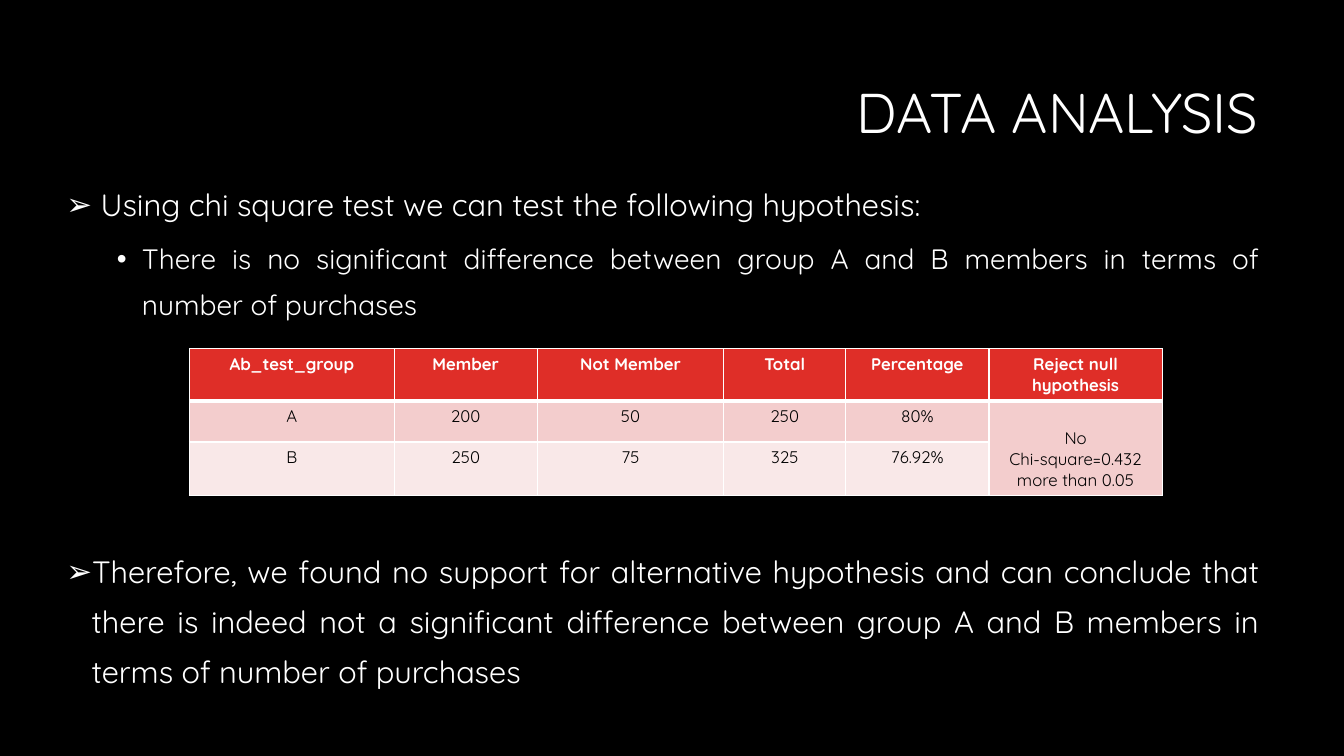
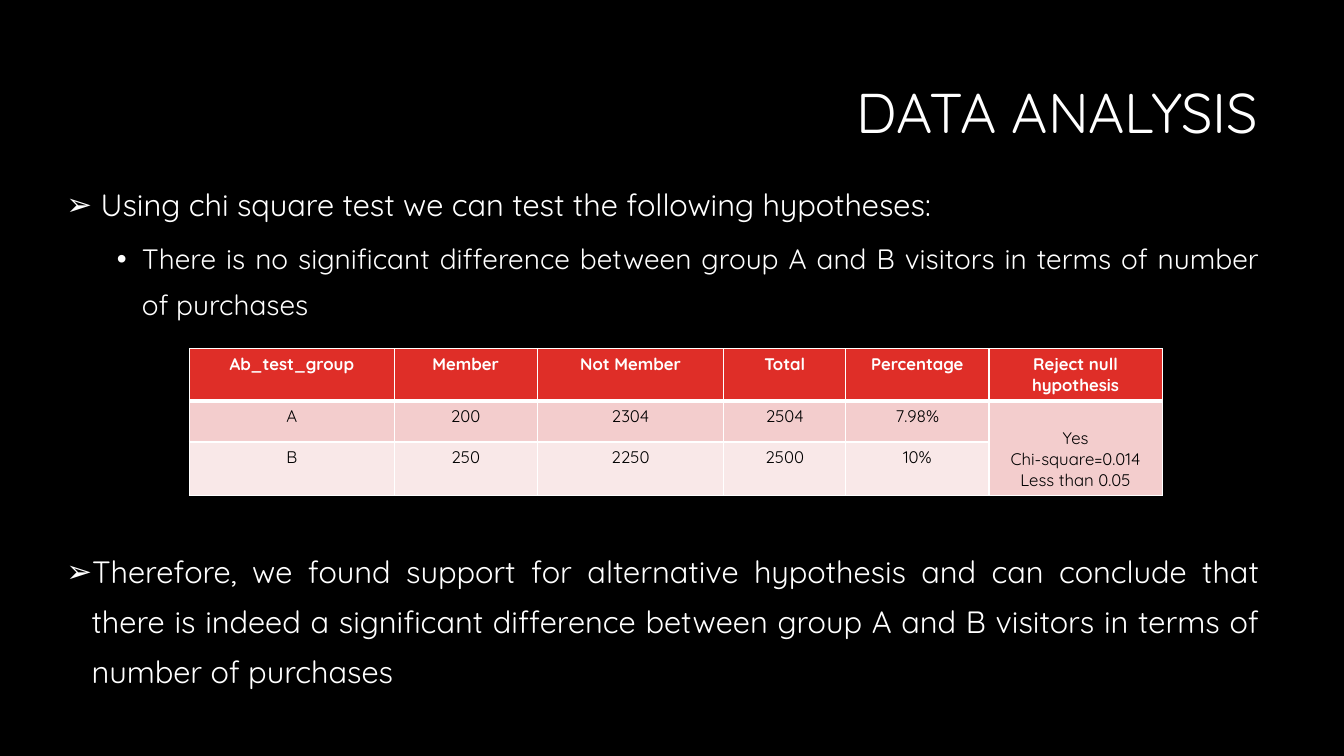
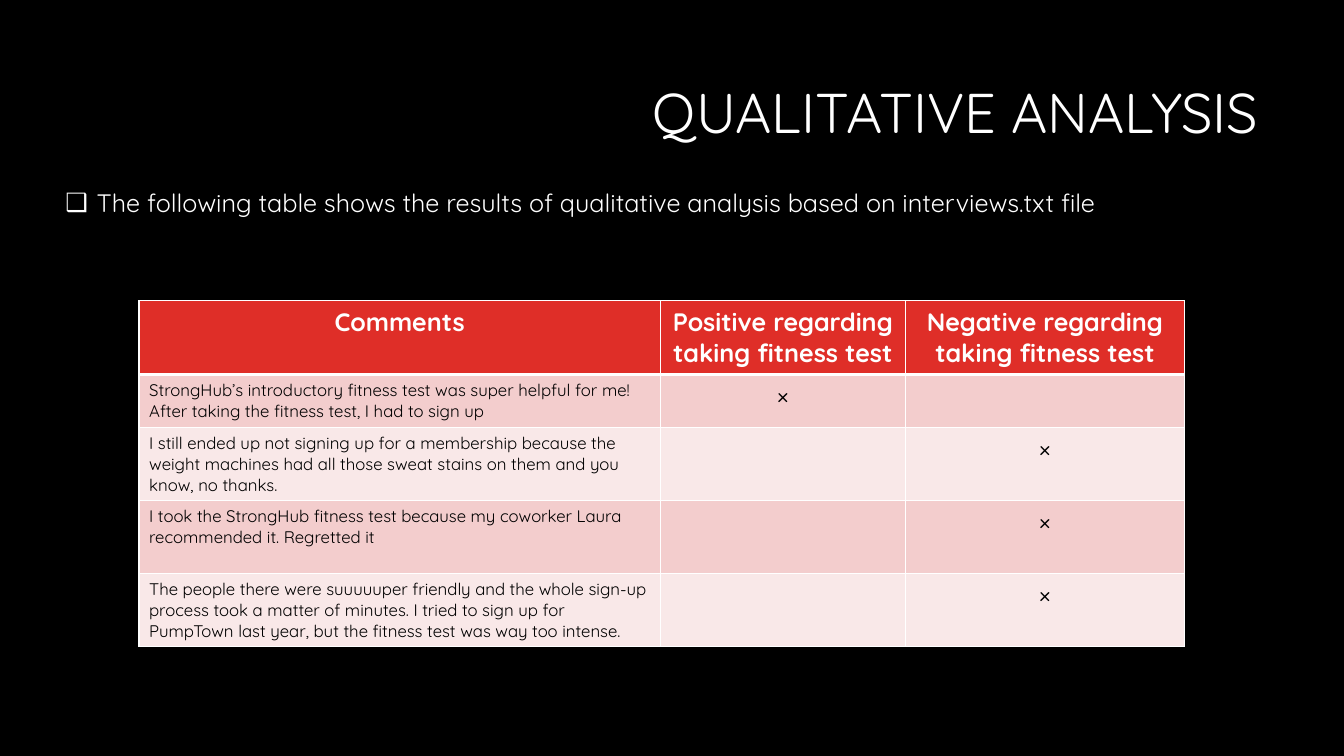
"""Build three slides that report the analysis of a fitness test."""
from dataclasses import dataclass

from lxml import etree
from pptx import Presentation
from pptx import util as u
from pptx.dml.color import RGBColor
from pptx.enum import text
from pptx.oxml import ns

ALIGN = text.PP_ALIGN
ANCHOR = text.MSO_ANCHOR


@dataclass(frozen=True)
class Theme:
    """Colours, font and type sizes of the presentation."""
    font: str = "Quicksand"
    background: str = "000000"
    light: str = "FFFFFF"
    dark: str = "000000"
    header: str = "DF2E28"
    bands: tuple = ("F3CDCD", "F9E8E8")
    title: int = 40
    lead: int = 22
    point: int = 20
    note: int = 18
    cell: int = 12
    line: int = 1
    header_line: int = 3


THEME = Theme()


def write(frame, content, size, color=THEME.light, bold=False, align=ALIGN.LEFT,
          spacing=None, before=0, bullet=None, indent=0, level=0, add=False):
    """Write one paragraph for each line of the content."""
    for index, line in enumerate(content.split("\n")):
        paragraph = frame.add_paragraph() if add or index else frame.paragraphs[0]
        paragraph.alignment, paragraph.level = align, level
        paragraph.space_before = u.Pt(before)
        if spacing:
            paragraph.line_spacing = spacing
        run = paragraph.add_run()
        run.text = line
        run.font.name, run.font.size, run.font.bold = THEME.font, u.Pt(size), bold
        run.font.color.rgb = RGBColor.from_string(color)
        if bullet:
            hanging = u.Inches(0.25) if level else u.Inches(indent)
            properties = paragraph._p.get_or_add_pPr()
            properties.set("marL", str(u.Inches(indent)))
            properties.set("indent", str(-hanging))
            etree.SubElement(properties, ns.qn("a:buFont"), typeface="Arial")
            etree.SubElement(properties, ns.qn("a:buChar"), char=bullet)


def border(cell, **widths):
    """Draw the left, right, top and bottom lines of a table cell."""
    properties = cell._tc.get_or_add_tcPr()
    for index, (side, width) in enumerate(widths.items()):
        line = etree.Element(ns.qn(f"a:ln{side}"), w=str(u.Pt(width)))
        fill = etree.SubElement(line, ns.qn("a:solidFill"))
        etree.SubElement(fill, ns.qn("a:srgbClr"), val=THEME.light)
        properties.insert(index, line)


class Deck:
    """Hold the presentation and its current slide; lengths are percentages."""

    def __init__(self):
        """Start a wide presentation with a plain background."""
        self.presentation = Presentation()
        self.presentation.slide_width = u.Inches(13.33)
        self.presentation.slide_height = u.Inches(7.5)
        fill = self.presentation.slide_master.background.fill
        fill.solid()
        fill.fore_color.rgb = RGBColor.from_string(THEME.background)
        self.slide = None

    def across(self, share):
        """Turn a share of the slide's width into a length."""
        return int(self.presentation.slide_width * share / 100)

    def down(self, share):
        """Turn a share of the slide's height into a length."""
        return int(self.presentation.slide_height * share / 100)

    def area(self, left, top, width, height):
        """Return a rectangle as lengths."""
        return self.across(left), self.down(top), self.across(width), self.down(height)

    def add_slide(self, title):
        """Add a slide and format its title."""
        self.slide = self.presentation.slides.add_slide(self.presentation.slide_layouts[5])
        shape = self.slide.shapes.title
        shape.left, shape.top, shape.width, shape.height = self.area(19.43, 5.87, 74.94, 18.8)
        shape.text_frame.vertical_anchor = ANCHOR.MIDDLE
        write(shape.text_frame, title, THEME.title, align=ALIGN.RIGHT, spacing=0.9)

    def add_text(self, area):
        """Add a wrapping text box and return its frame."""
        frame = self.slide.shapes.add_textbox(*self.area(*area)).text_frame
        frame.word_wrap = True
        return frame

    def add_table(self, left, top, columns, heights, rows, header_size, formats):
        """Add a banded table with one text format for each column."""
        area = self.area(left, top, sum(columns), sum(heights))
        table = self.slide.shapes.add_table(len(rows), len(columns), *area).table
        for column, share in zip(table.columns, columns):
            column.width = self.across(share)
        for index, (row, share, contents) in enumerate(zip(table.rows, heights, rows)):
            row.height = self.down(share)
            band = THEME.bands[(index - 1) % 2] if index else THEME.header
            for cell, content, style in zip(row.cells, contents, formats):
                cell.fill.solid()
                cell.fill.fore_color.rgb = RGBColor.from_string(band)
                border(cell, L=THEME.line, R=THEME.line,
                       T=THEME.header_line if index == 1 else THEME.line,
                       B=THEME.line if index else THEME.header_line)
                if not index:
                    write(cell.text_frame, content, header_size, bold=True, align=ALIGN.CENTER)
                elif content:
                    write(cell.text_frame, content, color=THEME.dark, **style)
        return table

    def add_test(self, lead, hypothesis, results, verdict, conclusion):
        """Add a slide with a hypothesis, its test results and the conclusion."""
        self.add_slide("DATA ANALYSIS")
        body = dict(align=ALIGN.JUSTIFY, spacing=1.35)
        frame = self.add_text((4.2, 22.27, 90.25, 22.67))
        write(frame, lead, THEME.lead, bullet="➢", indent=0.34, **body)
        write(frame, hypothesis, THEME.point, bullet="•", indent=0.75, level=1,
              before=5, add=True, **body)
        header = ("Ab_test_group", "Member", "Not Member", "Total", "Percentage",
                  "Reject null hypothesis")
        group_a, group_b = results
        centred = dict(size=THEME.cell, align=ALIGN.CENTER)
        table = self.add_table(
            14.1, 46.13, (15.23, 10.65, 13.88, 9.08, 10.65, 12.9), (6.93, 5.4, 7.07),
            (header, (*group_a, verdict), (*group_b, "")), THEME.cell, [centred] * 6)
        table.cell(1, 5).merge(table.cell(2, 5))
        table.cell(1, 5).vertical_anchor = ANCHOR.BOTTOM
        frame = self.add_text((4.2, 70.8, 90.25, 24.67))
        write(frame, conclusion, THEME.lead, bullet="➢", indent=0.25, **body)

    def add_interviews(self, intro, rows):
        """Add a slide that sorts interview comments by attitude."""
        self.add_slide("QUALITATIVE ANALYSIS")
        mark = dict(size=THEME.note, align=ALIGN.CENTER)
        header = ("Comments", "Positive regarding taking fitness test",
                  "Negative regarding taking fitness test")
        self.add_table(10.35, 39.8, (38.78, 18.23, 20.78), (9.75, 7, 9.6, 9.65, 9.7),
                       (header, *rows), THEME.note, (dict(size=THEME.cell), mark, mark))
        frame = self.add_text((4.13, 24.13, 83.35, 5.33))
        write(frame, intro, THEME.note, bullet="❑", indent=0.31)


def main():
    """Build and save the presentation."""
    deck = Deck()
    deck.add_test(
        "Using chi square test we can test the following hypothesis:",
        "There is no significant difference between group A and B members in terms of "
        "number of purchases",
        (("A", "200", "50", "250", "80%"), ("B", "250", "75", "325", "76.92%")),
        "No\nChi-square=0.432\nmore than 0.05",
        "Therefore, we found no support for alternative hypothesis and can conclude that "
        "there is indeed not a significant difference between group A and B members in "
        "terms of number of purchases")
    deck.add_test(
        "Using chi square test we can test the following hypotheses:",
        "There is no significant difference between group A and B visitors in terms of "
        "number of purchases",
        (("A", "200", "2304", "2504", "7.98%"), ("B", "250", "2250", "2500", "10%")),
        "Yes\nChi-square=0.014\nLess than 0.05",
        "Therefore, we found support for alternative hypothesis and can conclude that "
        "there is indeed a significant difference between group A and B visitors in "
        "terms of number of purchases")
    deck.add_interviews(
        "The following table shows the results of qualitative analysis based on "
        "interviews.txt file",
        (("StrongHub’s introductory fitness test was super helpful for me! After taking "
          "the fitness test, I had to sign up", "×", ""),
         ("I still ended up not signing up for a membership because the weight machines "
          "had all those sweat stains on them and you know, no thanks.", "", "×"),
         ("I took the StrongHub fitness test because my coworker Laura recommended it. "
          "Regretted it", "", "×"),
         ("The people there were suuuuuper friendly and the whole sign-up process took a "
          "matter of minutes. I tried to sign up for PumpTown last year, but the fitness "
          "test was way too intense.", "", "×")))
    deck.presentation.save("out.pptx")


if __name__ == "__main__":
    main()
